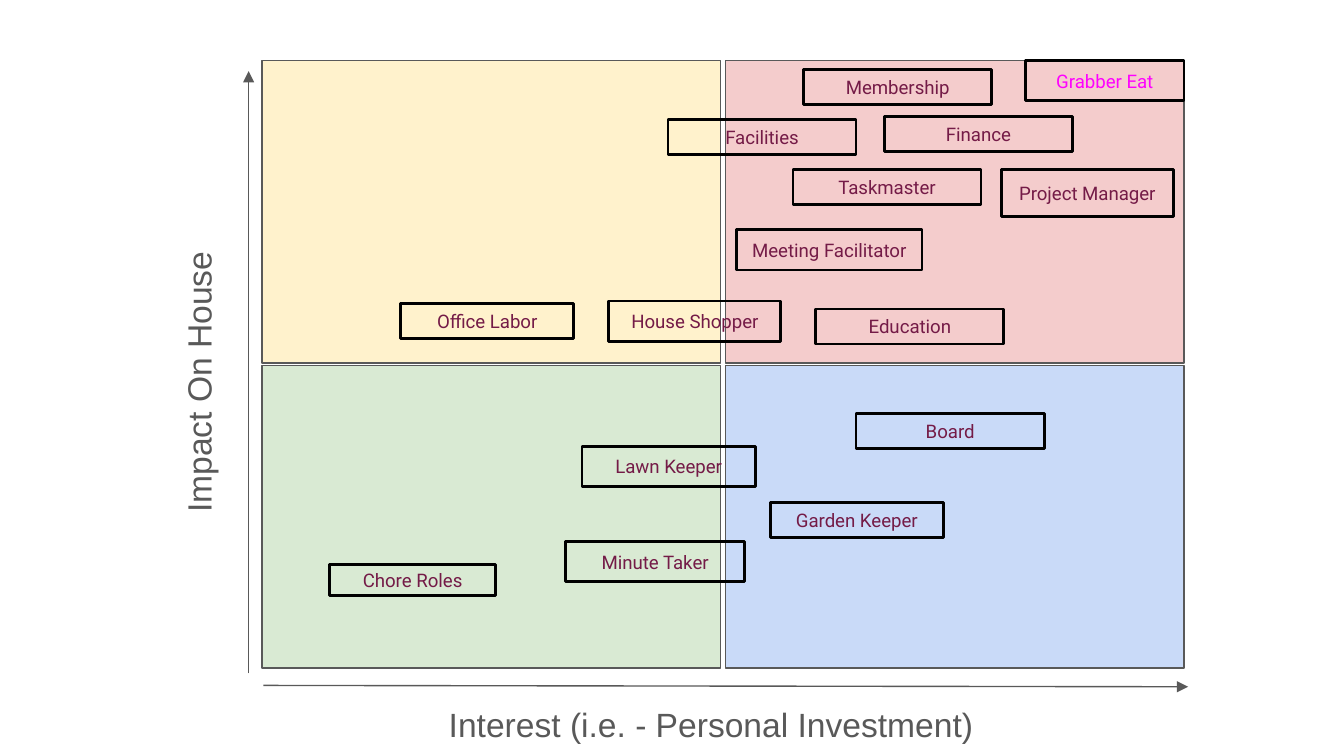
from lxml.etree import SubElement
from pptx import Presentation
from pptx.dml.color import RGBColor
from pptx.enum.shapes import MSO_CONNECTOR as Connector, MSO_SHAPE as Shape
from pptx.enum.text import MSO_ANCHOR as Anchor, PP_ALIGN as Align
from pptx.oxml.ns import qn
from pptx.util import Inches, Pt

COLORS = {
    "axis": "595959",
    "outline": "000000",
    "role": "741B47",
    "highlight": "FF00FF",
    "yellow": "FFF2CC",
    "red": "F4CCCC",
    "green": "D9EAD3",
    "blue": "C9DAF8",
}

# Quadrant grid: left and top of the first cell, cell size and step
GRID_LEFT, GRID_TOP = 1.95, 0.45
CELL_WIDTH, CELL_HEIGHT = 3.41, 2.25
STEP_X, STEP_Y = 3.45, 2.27
QUADRANTS = [["yellow", "red"], ["green", "blue"]]

# Role name, left, top, width, height
ROLES = [
    ("House Shopper", 4.53, 2.24, 1.28, 0.3),
    ("Garden Keeper", 5.73, 3.74, 1.29, 0.26),
    ("Lawn Keeper", 4.33, 3.32, 1.29, 0.3),
    ("Minute Taker", 4.21, 4.03, 1.33, 0.3),
    ("Meeting Facilitator", 5.48, 1.71, 1.38, 0.3),
    ("Office Labor", 2.98, 2.26, 1.29, 0.26),
    ("Chore Roles", 2.45, 4.2, 1.24, 0.23),
    ("Grabber Eat", 7.63, 0.45, 1.18, 0.3),
    ("Project Manager", 7.45, 1.26, 1.28, 0.35),
    ("Facilities", 4.97, 0.89, 1.4, 0.26),
    ("Taskmaster", 5.9, 1.26, 1.4, 0.26),
    ("Membership", 5.98, 0.52, 1.4, 0.26),
    ("Finance", 6.58, 0.87, 1.4, 0.26),
    ("Education", 6.07, 2.3, 1.4, 0.26),
    ("Board", 6.37, 3.08, 1.4, 0.26),
]
HIGHLIGHTED = {"Grabber Eat"}


def rgb(name):
    return RGBColor.from_string(COLORS[name])


def write_text(box, text, *, font, size, color, align=Align.LEFT, anchor=Anchor.TOP):
    frame = box.text_frame
    frame.word_wrap = True
    frame.vertical_anchor = anchor
    frame.margin_left = frame.margin_right = Inches(0.1)
    frame.margin_top = frame.margin_bottom = Inches(0.1)
    para = frame.paragraphs[0]
    para.alignment = align
    span = para.add_run()
    span.text = text
    span.font.name = font
    span.font.size = Pt(size)
    span.font.color.rgb = rgb(color)


class MatrixPage:
    """Holds the style and the current slide."""

    role_font, role_size = "Roboto", 10
    axis_font, axis_size = "Arial", 18
    thin, thick = 0.75, 1.5

    def __init__(self, page):
        self.page = page

    def rectangle(self, left, top, width, height, line, weight, fill=None):
        box = self.page.shapes.add_shape(
            Shape.RECTANGLE, Inches(left), Inches(top), Inches(width), Inches(height))
        box.shadow.inherit = False
        if fill:
            box.fill.solid()
            box.fill.fore_color.rgb = rgb(fill)
        else:
            box.fill.background()
        box.line.color.rgb = rgb(line)
        box.line.width = Pt(weight)
        return box

    def quadrant(self, row, column, fill):
        self.rectangle(GRID_LEFT + column * STEP_X, GRID_TOP + row * STEP_Y,
                       CELL_WIDTH, CELL_HEIGHT, "axis", self.thin, fill)

    def role(self, name, left, top, width, height):
        box = self.rectangle(left, top, width, height, "outline", self.thick)
        color = "highlight" if name in HIGHLIGHTED else "role"
        write_text(box, name, font=self.role_font, size=self.role_size, color=color,
                   align=Align.CENTER, anchor=Anchor.MIDDLE)

    def arrow(self, x1, y1, x2, y2):
        arrow = self.page.shapes.add_connector(
            Connector.STRAIGHT, Inches(x1), Inches(y1), Inches(x2), Inches(y2))
        arrow.line.color.rgb = rgb("axis")
        arrow.line.width = Pt(self.thin)
        properties = arrow._element.spPr
        SubElement(properties.find(qn("a:ln")), qn("a:tailEnd"), type="triangle")
        SubElement(properties, qn("a:effectLst"))

    def axis_label(self, text, left, top, width, height, rotation=0):
        box = self.page.shapes.add_textbox(
            Inches(left), Inches(top), Inches(width), Inches(height))
        box.rotation = rotation
        write_text(box, text, font=self.axis_font, size=self.axis_size, color="axis")


def main():
    # Widescreen page, 16 to 9
    deck = Presentation()
    deck.slide_width = Inches(10)
    deck.slide_height = deck.slide_width * 9 // 16
    blank_layout = deck.slide_layouts[6]
    matrix = MatrixPage(deck.slides.add_slide(blank_layout))

    # Quadrants
    for row, fills in enumerate(QUADRANTS):
        for column, fill in enumerate(fills):
            matrix.quadrant(row, column, fill)

    # Roles
    for role in ROLES:
        matrix.role(*role)

    # Axes
    matrix.arrow(1.85, 5.01, 1.85, 0.53)
    matrix.arrow(1.96, 5.1, 8.84, 5.11)
    matrix.axis_label("Impact On House", 0.32, 2.54, 2.28, 0.47, rotation=270)
    matrix.axis_label("Interest (i.e. - Personal Investment)", 3.24, 5.14, 4.48, 0.47)

    deck.save("out.pptx")


if __name__ == "__main__":
    main()
